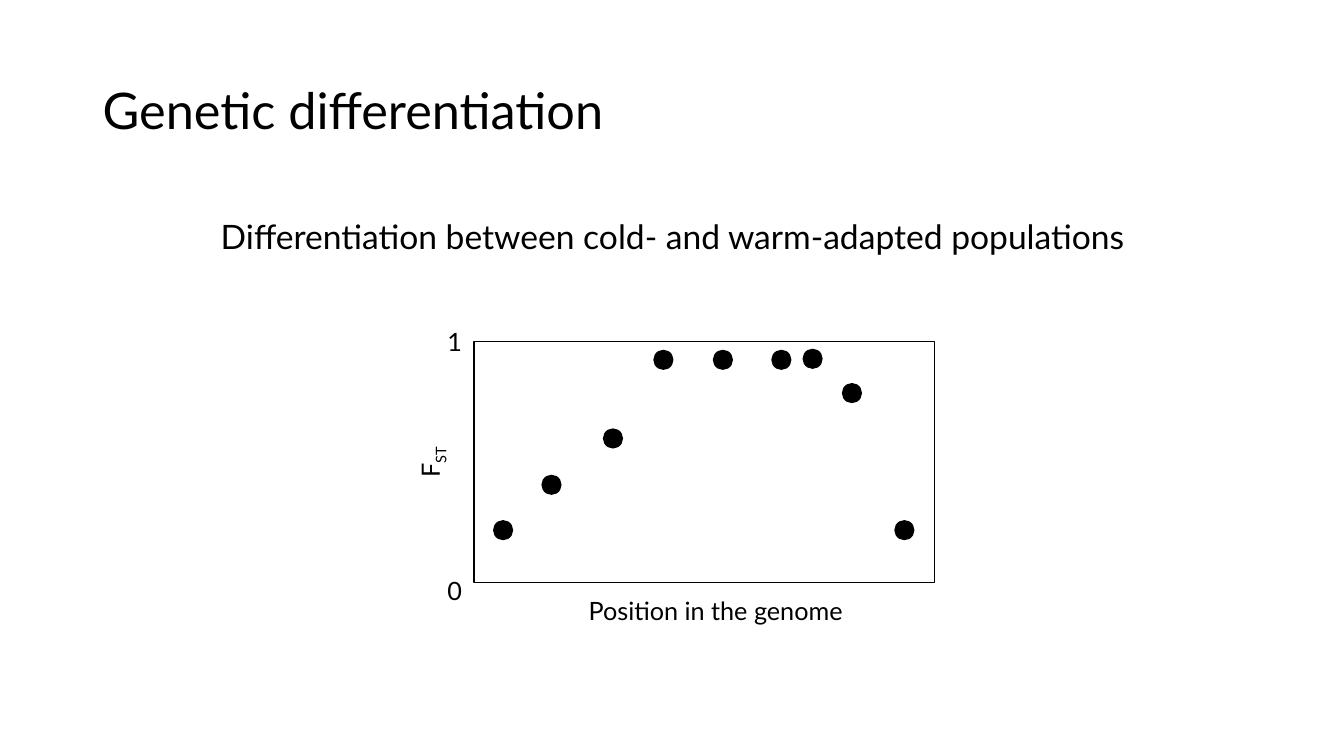
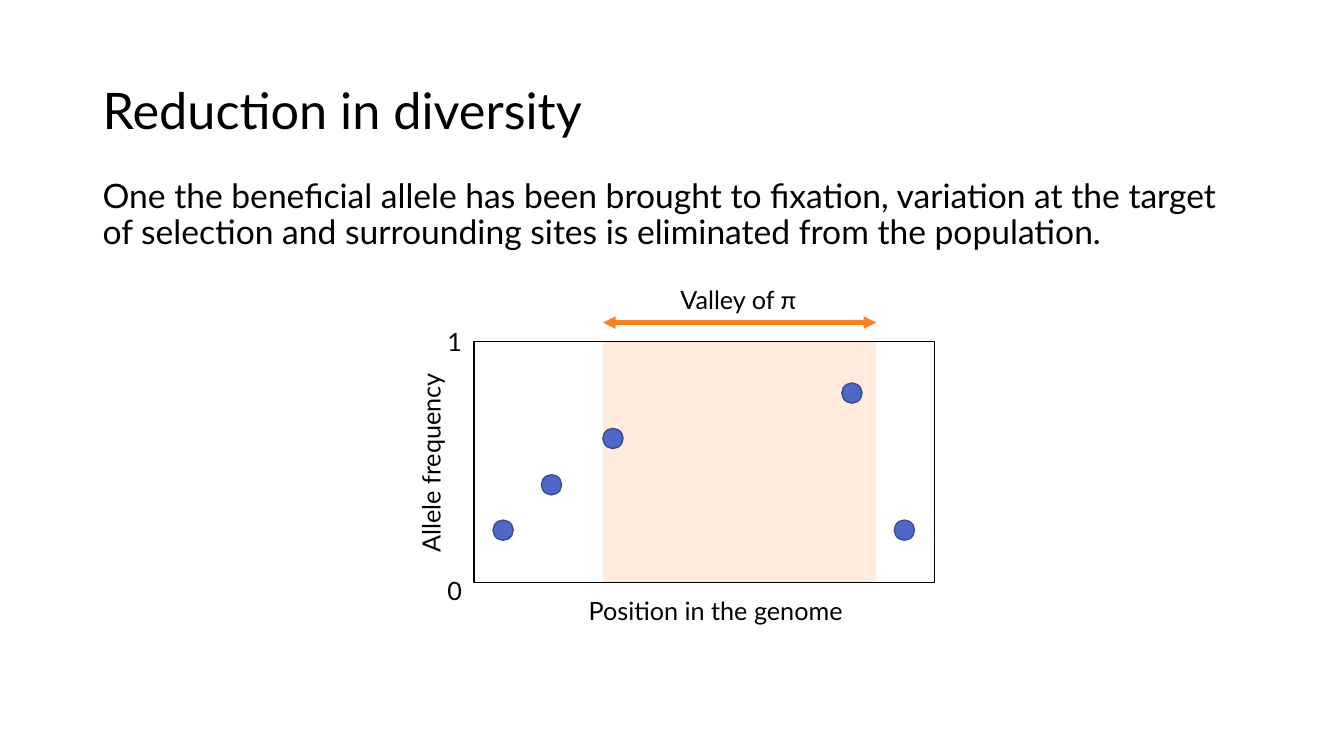
from lxml import etree
from pptx import Presentation
from pptx.dml.color import RGBColor
from pptx.enum.shapes import MSO_CONNECTOR, MSO_SHAPE
from pptx.enum.text import MSO_ANCHOR, MSO_AUTO_SIZE, PP_ALIGN
from pptx.oxml.ns import qn
from pptx.util import Inches, Pt

RECT, OVAL = MSO_SHAPE.RECTANGLE, MSO_SHAPE.OVAL
STRAIGHT = MSO_CONNECTOR.STRAIGHT
TOP, MIDDLE = MSO_ANCHOR.TOP, MSO_ANCHOR.MIDDLE
LEFT, CENTER = PP_ALIGN.LEFT, PP_ALIGN.CENTER
FIT_SHAPE = MSO_AUTO_SIZE.SHAPE_TO_FIT_TEXT

FONT = "Lato"
BLACK, BLUE, DARK_BLUE, ORANGE = "000000", "4E67C8", "3A4C94", "FF8021"
MARGIN, TEXT_W = 0.92, 11.5
PLOT_X, PLOT_Y, PLOT_W, PLOT_H = 4.7, 3.39, 4.57, 2.39
VALLEY_X, VALLEY_W = 5.98, 2.71
LABEL_H, DOT = 0.4, 0.2

rgb = RGBColor.from_string


def add_text(slide, box, runs, size=18, wrap=False, align=LEFT, anchor=TOP, rotation=0):
    """Add one paragraph; every run after the first is a subscript."""
    sp = slide.shapes.add_textbox(*map(Inches, box))
    sp.rotation = rotation
    tf = sp.text_frame
    tf.word_wrap = wrap
    tf.vertical_anchor = anchor
    p = tf.paragraphs[0]
    p.alignment = align
    if wrap:
        p.line_spacing = 0.9
    else:
        tf.auto_size = FIT_SHAPE
    for i, text in enumerate(runs):
        r = p.add_run()
        r.text = text
        r.font.name = FONT
        r.font.size = Pt(size)
        r.font.color.rgb = rgb(BLACK)
        if i:
            r.font._element.set("baseline", "-25000")


def add_shape(slide, kind, box, fill=None, line=None):
    sp = slide.shapes.add_shape(kind, *map(Inches, box))
    sp.shadow.inherit = False
    if fill:
        sp.fill.solid()
        sp.fill.fore_color.rgb = rgb(fill)
    else:
        sp.fill.background()
    if line:
        sp.line.color.rgb = rgb(line)
        sp.line.width = Pt(1)
    else:
        sp.line.fill.background()
    return sp


rising = [(4.89, 5.16), (5.37, 4.71), (5.98, 4.25)]
plateau = [(6.48, 3.47), (7.07, 3.47), (7.65, 3.47), (7.96, 3.46)]
falling = [(8.35, 3.8), (8.87, 5.16)]

slides = [
    dict(title="Genetic differentiation",
         body="Differentiation between cold- and warm-adapted populations",
         body_y=2.14, align=CENTER, valley=False,
         axis=["F", "ST"], axis_x=4, axis_w=0.53,
         dots=rising + plateau + falling, fill=BLACK, line=None),
    dict(title="Reduction in diversity",
         body="One the beneficial allele has been brought to fixation, variation at the "
              "target of selection and surrounding sites is eliminated from the population.",
         body_y=1.73, align=LEFT, valley=True,
         axis=["Allele frequency"], axis_x=3.26, axis_w=2.02,
         dots=rising + falling, fill=BLUE, line=DARK_BLUE),
]

prs = Presentation()
prs.slide_width, prs.slide_height = Inches(13.33), Inches(7.5)
blank = prs.slide_layouts[6]

for s in slides:
    slide = prs.slides.add_slide(blank)
    add_text(slide, (MARGIN, 0.4, TEXT_W, 1.45), [s["title"]], 36, wrap=True, anchor=MIDDLE)
    add_text(slide, (MARGIN, s["body_y"], TEXT_W, 0.9), [s["body"]], 24,
             wrap=True, align=s["align"])

    if s["valley"]:
        band = add_shape(slide, RECT, (VALLEY_X, PLOT_Y, VALLEY_W, PLOT_H), ORANGE)
        color = band.fill._xPr.find(".//" + qn("a:srgbClr"))
        etree.SubElement(color, qn("a:alpha"), val="16000")

    add_shape(slide, RECT, (PLOT_X, PLOT_Y, PLOT_W, PLOT_H), line=BLACK)
    add_text(slide, (s["axis_x"], 4.37, s["axis_w"], LABEL_H), s["axis"], rotation=270)
    for x, y in s["dots"]:
        add_shape(slide, OVAL, (x, y, DOT, DOT), s["fill"], s["line"])
    for tick, y in (("0", 5.66), ("1", 3.19)):
        add_text(slide, (4.34, y, 0.34, LABEL_H), [tick])
    add_text(slide, (5.74, 5.86, 2.82, LABEL_H), ["Position in the genome"])

    if s["valley"]:
        arrow = slide.shapes.add_connector(
            STRAIGHT, Inches(VALLEY_X), Inches(3.2), Inches(VALLEY_X + VALLEY_W), Inches(3.2))
        arrow.line.color.rgb = rgb(ORANGE)
        arrow.line.width = Pt(3)
        ln = arrow.line._get_or_add_ln()
        for end in ("a:headEnd", "a:tailEnd"):
            etree.SubElement(ln, qn(end), type="triangle")
        etree.SubElement(arrow._element.spPr, qn("a:effectLst"))
        add_text(slide, (6.65, 2.77, 1.36, LABEL_H), ["Valley of π"])

prs.save("out.pptx")
